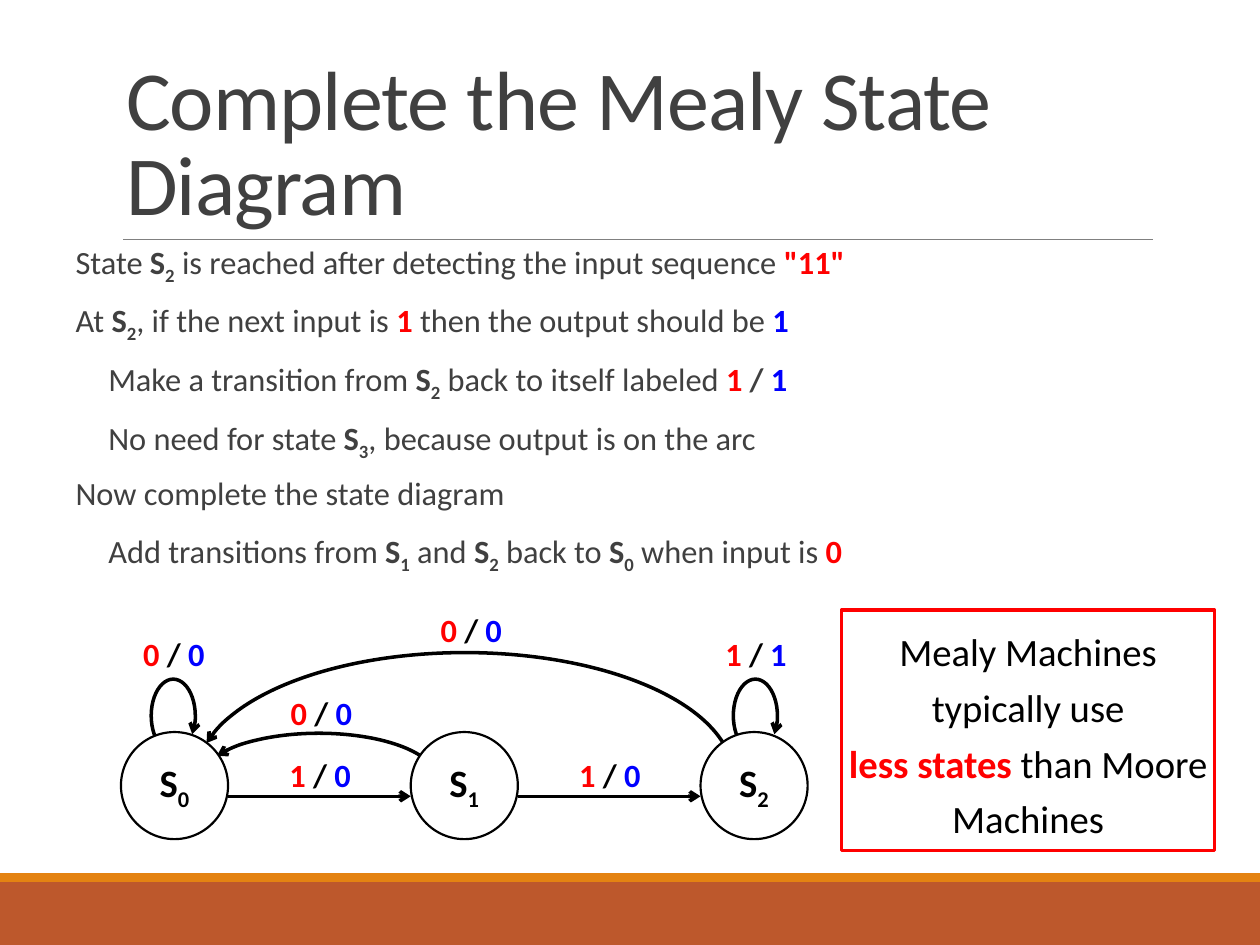
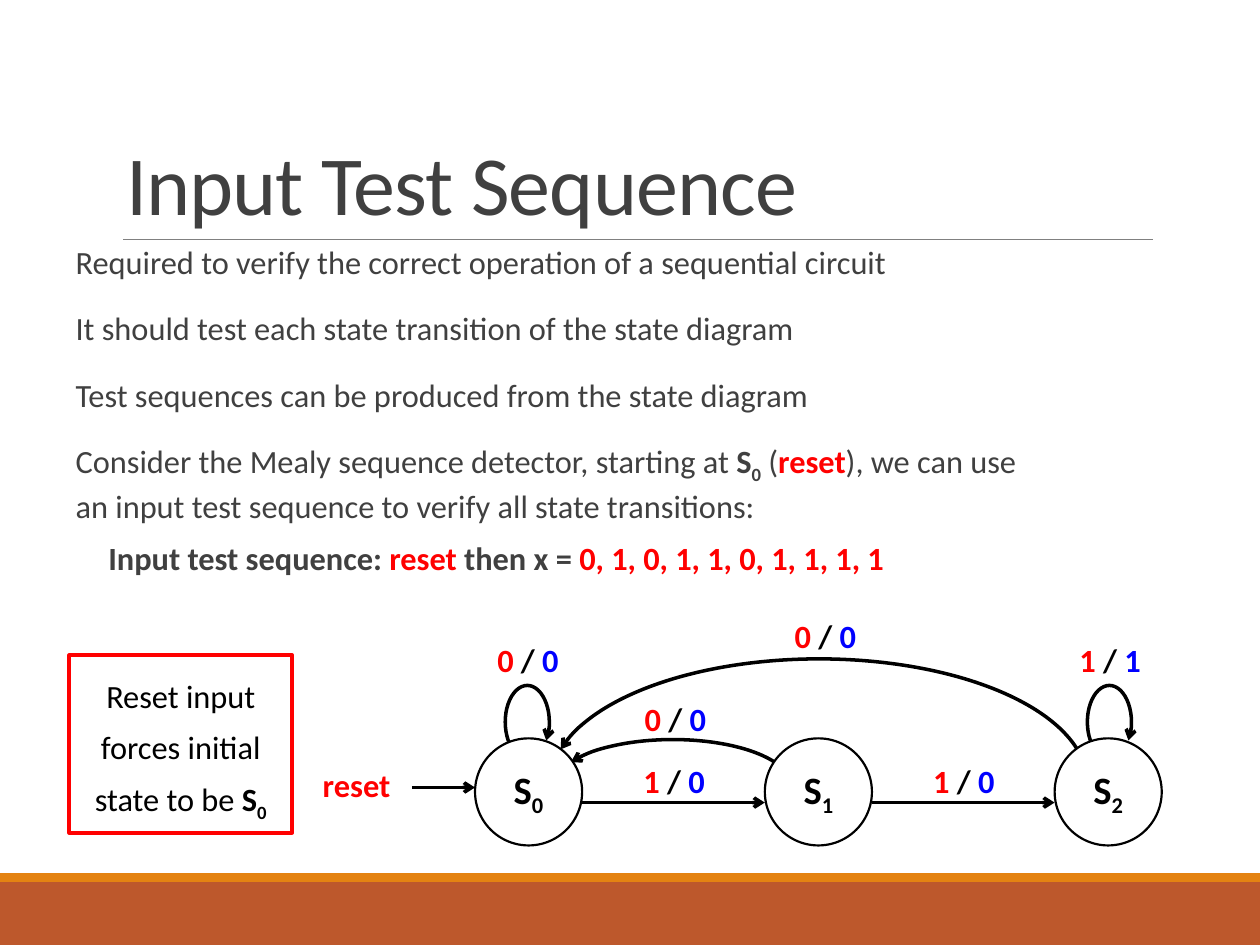
import pptx
import pptx.util
import pptx.dml.color
import pptx.enum.shapes
import pptx.enum.text
import pptx.oxml.ns

PX = 9144  # 100 px to the inch
HUES = {"ink": "404040", "black": "000000", "white": "FFFFFF", "red": "FF0000",
        "blue": "0000FF", "rust": "BD582C", "gold": "E48312", "gray": "808080"}
FONT = "Calibri"
BODY, LARGE, HEAD = 18.5, 22.1, 48
LEVELS = (10, 36)
SHAPE = pptx.enum.shapes.MSO_SHAPE
ALIGN = pptx.enum.text.PP_ALIGN
ANCHOR = pptx.enum.text.MSO_ANCHOR


def px(*nums):
    return [pptx.util.Emu(round(num * PX)) for num in nums]


def rgb(hue):
    return pptx.dml.color.RGBColor.from_string(HUES[hue])


class Deck:
    def __init__(self):
        self.prs = pptx.Presentation()
        self.prs.slide_width, self.prs.slide_height = px(1000, 750)
        self.slide = None

    def start(self, title):
        """Add a slide with the shared bands, rule and title."""
        self.slide = self.prs.slides.add_slide(self.prs.slide_layouts[5])
        self.shape(SHAPE.RECTANGLE, (0, 700, 1000, 50), fill="rust")
        self.shape(SHAPE.RECTANGLE, (0, 693, 1000, 7), fill="gold")
        self.line((98, 190), (915, 190), "gray", 0.5)
        head = self.slide.shapes.title
        head.left, head.top, head.width, head.height = px(90, 31, 825, 159)
        frame = head.text_frame
        frame.word_wrap = True
        frame.auto_size = pptx.enum.text.MSO_AUTO_SIZE.NONE
        frame.vertical_anchor = ANCHOR.BOTTOM
        para = frame.paragraphs[0]
        self.fill(para, title, HEAD, "ink")
        para.alignment, para.line_spacing = ALIGN.LEFT, 0.85
        para.runs[0]._r.get_or_add_rPr().set("spc", "-50")

    def fill(self, para, text, size, hue, bold=False):
        """Split text at |; ^ marks a state, ! red, # blue and * bold parts."""
        font = para.font
        font.name, font.size, font.bold = FONT, pptx.util.Pt(size), bold
        font.color.rgb = rgb(hue)
        for part in filter(None, text.split("|")):
            mark = part[0] if part[0] in "^!#*" else ""
            words = part[len(mark):]
            for piece in ("S", words) if mark == "^" else (words,):
                run = para.add_run()
                run.text = piece
                if mark:
                    run.font.bold = True
                if mark in ("!", "#"):
                    run.font.color.rgb = rgb("red" if mark == "!" else "blue")
            if mark == "^":
                run._r.get_or_add_rPr().set("baseline", "-25000")

    def shape(self, kind, box, fill=None, line=None, width=1):
        item = self.slide.shapes.add_shape(kind, *px(*box))
        item.shadow.inherit = False
        if fill:
            item.fill.solid()
            item.fill.fore_color.rgb = rgb(fill)
        else:
            item.fill.background()
        if line:
            item.line.color.rgb = rgb(line)
            item.line.width = pptx.util.Pt(width)
        else:
            item.line.fill.background()
        return item

    def tip(self, item, end):
        """Put an open arrowhead at headEnd or tailEnd."""
        line = item.line._get_or_add_ln()
        mark = line.makeelement(pptx.oxml.ns.qn("a:" + end), {"type": "arrow"})
        line.append(mark)

    def line(self, start, stop, hue="black", width=2, arrow=False):
        item = self.slide.shapes.add_connector(
            pptx.enum.shapes.MSO_CONNECTOR.STRAIGHT, *px(*start, *stop))
        item.line.color.rgb = rgb(hue)
        item.line.width = pptx.util.Pt(width)
        if arrow:
            self.tip(item, "tailEnd")
        props = item._element.spPr
        props.append(props.makeelement(pptx.oxml.ns.qn("a:effectLst"), {}))

    def arc(self, box, degrees, end):
        """Draw clockwise between two angles; adjustments count 0.6 per unit."""
        item = self.shape(SHAPE.ARC, box, line="black", width=2)
        for spot, angle in enumerate(degrees):
            item.adjustments[spot] = angle * 0.6
        self.tip(item, end)

    def center(self, item, texts, size, bold=False, space=1.0, after=0):
        """Centre paragraphs in a shape without insets."""
        frame = item.text_frame
        frame.word_wrap, frame.vertical_anchor = True, ANCHOR.MIDDLE
        frame.margin_left = frame.margin_right = 0
        frame.margin_top = frame.margin_bottom = 0
        for spot, text in enumerate(texts):
            para = frame.add_paragraph() if spot else frame.paragraphs[0]
            self.fill(para, text, size, "black", bold)
            para.alignment, para.line_spacing = ALIGN.CENTER, space
            para.space_after = pptx.util.Pt(after)

    def label(self, x, y, text):
        """Centre a one-line label on a point."""
        box = self.slide.shapes.add_textbox(*px(x - 40, y - 16, 80, 31))
        self.center(box, [text], BODY, True)

    def node(self, x, y, text):
        item = self.shape(SHAPE.OVAL, (x, y, 85, 85), "white", "black", 1.25)
        self.center(item, [text], LARGE, True, after=9.2)

    def note(self, box, texts, size, space):
        item = self.shape(SHAPE.RECTANGLE, box, line="red", width=2)
        self.center(item, texts, size, space=space)

    def body(self, box, rows):
        """Each row is level, line spacing, space before and text."""
        frame = self.slide.shapes.add_textbox(*px(*box)).text_frame
        frame.word_wrap = True
        frame.margin_left = frame.margin_right = 0
        for spot, (level, space, before, text) in enumerate(rows):
            para = frame.add_paragraph() if spot else frame.paragraphs[0]
            self.fill(para, text, BODY, "ink")
            para.line_spacing = space
            para.space_before = pptx.util.Pt(before)
            para.space_after = pptx.util.Pt(2)
            props = para._p.get_or_add_pPr()
            props.set("marL", str(LEVELS[level] * PX))
            props.set("indent", "0")

    def states(self, x, y):
        """Draw the Mealy diagram with the first state at x, y."""
        step = 230
        self.arc((x + 63, y + 1, 188, 73), (193.01, 348.84), "headEnd")
        self.arc((x + 60, y - 63, 426, 197), (187.43, 352.64), "headEnd")
        for left, loop in ((x + 24, "!0 |/ |#0"), (x + 486, "!1 |/ |#1")):
            self.arc((left, y - 42, 35, 58), (133.83, 44.27), "tailEnd")
            self.label(left + 18, y - 62, loop)
        for col in range(3):
            left = x + col * step
            self.node(left, y, f"^{col}")
            if col < 2:
                self.line((left + 85, y + 51), (left + step, y + 51), arrow=True)
                self.label(left + 158, y + 34, "!1 |/ |#0")
        for left, top in ((159, -15), (278, -81)):
            self.label(x + left, y + top, "!0 |/ |#0")


def main():
    deck = Deck()

    deck.start("Complete the Mealy State Diagram")
    rows = [
        (0, 'State |^2| is reached after detecting the input sequence |!"11"'),
        (0, "At |^2|, if the next input is |!1| then the output should be |#1"),
        (1, "Make a transition from |^2| back to itself labeled |!1|* / |#1"),
        (1, "No need for state |^3|, because output is on the arc"),
        (0, "Now complete the state diagram"),
        (1, "Add transitions from |^1| and |^2| back to |^0| when input is |!0"),
    ]
    deck.body((50, 193, 875, 268), [(lev, 0.7, 13.8, text) for lev, text in rows])
    deck.states(96, 581)
    deck.note((668, 484, 296, 191),
              ["Mealy Machines typically use", "!less states |than Moore Machines"],
              LARGE, 1.2)

    deck.start("Input Test Sequence")
    rows = [
        "Required to verify the correct operation of a sequential circuit",
        "It should test each state transition of the state diagram",
        "Test sequences can be produced from the state diagram",
        "Consider the Mealy sequence detector, starting at |^0| (|!reset|), we can "
        "use an input test sequence to verify all state transitions:",
    ]
    test = "*Input test sequence: |!reset|* then x = |!0, 1, 0, 1, 1, 0, 1, 1, 1, 1"
    deck.body((50, 187, 775, 296),
              [(0, 1.0, 13.8, text) for text in rows] + [(1, 0.7, 12, test)])
    deck.states(377, 586)
    deck.line((327, 625), (377, 625), arrow=True)
    deck.label(283, 623, "!reset")
    deck.note((55, 520, 177, 141),
              ["Reset input forces initial state to be |^0"], BODY, 1.3)

    deck.prs.save("out.pptx")


if __name__ == "__main__":
    main()
